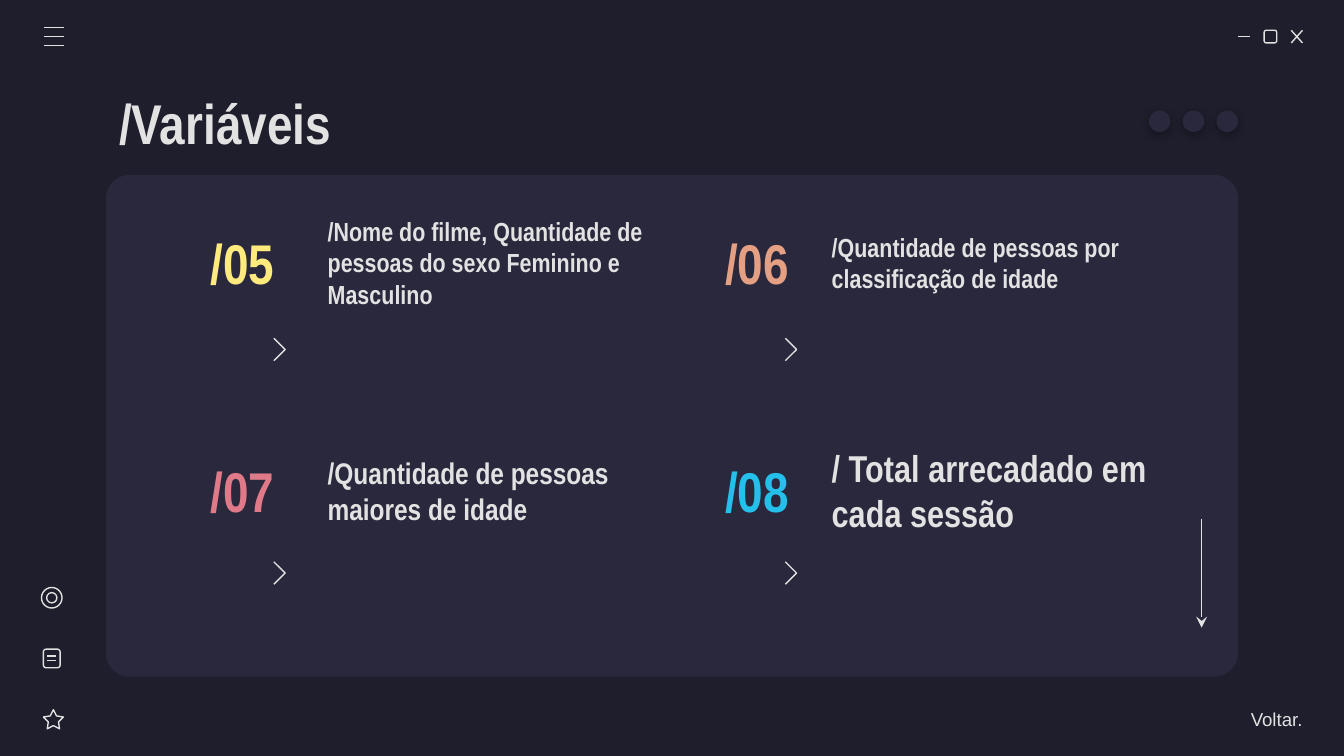
from pptx import Presentation
from pptx.dml.color import RGBColor
from pptx.enum.shapes import MSO_CONNECTOR, MSO_SHAPE
from pptx.enum.text import MSO_ANCHOR, PP_ALIGN
from pptx.oxml import parse_xml
from pptx.oxml.ns import nsdecls, qn
from pptx.util import Pt

LIGHT, PANEL, BACK = "E2E2E2", "29283D", "1E1E2C"
HEAD, BODY = "Arial Narrow", "Arial"
THIN = 0.75


def paint(color, code):
    color.rgb = RGBColor.from_string(code)


def add_text(slide, box, text, size, code=LIGHT, font=HEAD, align=PP_ALIGN.LEFT, right=7.2):
    frame = slide.shapes.add_textbox(*map(Pt, box)).text_frame
    frame.word_wrap = True
    frame.vertical_anchor = MSO_ANCHOR.MIDDLE
    frame.margin_left = frame.margin_top = frame.margin_bottom = Pt(7.2)
    frame.margin_right = Pt(right)
    para = frame.paragraphs[0]
    para.alignment = align
    run = para.add_run()
    run.text = text
    run.font.name, run.font.size = font, Pt(size)
    run.font.bold = font == HEAD
    paint(run.font.color, code)


def outline(shape):
    shape.line.width = Pt(THIN)
    shape.line.fill.solid()
    paint(shape.line.color, LIGHT)


def add_line(slide, x1, y1, x2, y2):
    line = slide.shapes.add_connector(MSO_CONNECTOR.STRAIGHT, *map(Pt, (x1, y1, x2, y2)))
    outline(line)
    line.element.spPr.append(parse_xml(f"<a:effectLst {nsdecls('a')}/>"))
    return line


def add_shape(slide, kind, box, fill=None):
    """Add a filled shape without a line, or an outlined one without a fill."""
    shape = slide.shapes.add_shape(kind, *map(Pt, box))
    shape.shadow.inherit = False
    if fill:
        shape.fill.solid()
        paint(shape.fill.fore_color, fill)
        shape.line.fill.background()
    else:
        shape.fill.background()
        outline(shape)
    return shape


def add_panel(slide, box):
    panel = add_shape(slide, MSO_SHAPE.ROUNDED_RECTANGLE, box, PANEL)
    panel.adjustments[0] = 0.047


def add_window(slide, box):
    """Draw the minimise, maximise and close marks."""
    left, top, width, height = box
    right, base = left + width, top + height
    add_line(slide, left, top + height / 2, left + height, top + height / 2)
    add_shape(slide, MSO_SHAPE.ROUNDED_RECTANGLE, (left + 14.25, top, height, height))
    add_line(slide, right - 6, top, right, base)
    add_line(slide, right, top, right - 6, base)


def add_menu(slide, box):
    left, top, width, height = box
    for i in range(3):
        y = top + i * height / 2
        add_line(slide, left, y, left + width, y)


def add_icons(slide, box):
    """Draw the ring, page and star down the left edge."""
    left, top, _, height = box
    base = top + height
    page = top + 33
    add_shape(slide, MSO_SHAPE.OVAL, (left, top, 11, 11))
    add_shape(slide, MSO_SHAPE.OVAL, (left + 2.75, top + 2.75, 5.5, 5.5))
    add_shape(slide, MSO_SHAPE.ROUNDED_RECTANGLE, (left + 1, page, 9, 10))
    for y in (page + 3.75, page + 6.25):
        add_line(slide, left + 2.75, y, left + 8, y)
    star = add_shape(slide, MSO_SHAPE.STAR_5_POINT, (left + 1, base - 10.25, 10.75, 10.25))
    star.adjustments[0] = 0.254


def add_chevron(slide, box):
    left, top, width, height = map(Pt, box)
    pen = slide.shapes.build_freeform(left, top)
    pen.add_line_segments([(left + width, top + height // 2), (left, top + height)], close=False)
    mark = pen.convert_to_shape()
    mark.shadow.inherit = False
    mark.fill.background()
    outline(mark)


def add_item(slide, box, item):
    left, top, width, height = box
    number, code, text, size, indent = item
    add_text(slide, (left, top, 65.5, height), number, 30, code, align=PP_ALIGN.CENTER)
    add_text(slide, (left + indent, top, width - indent, height), text, size)


def add_dots(slide, box):
    left, top, width, size = box
    step = (width - size) / 2
    for i in range(3):
        dot = add_shape(slide, MSO_SHAPE.OVAL, (left + i * step, top, size, size), PANEL)
        dot.element.spPr.find(qn("a:effectLst")).append(parse_xml(
            f'<a:outerShdw {nsdecls("a")} blurRad="{Pt(4.5)}" dist="{Pt(1.5)}" '
            'dir="5400000" algn="bl" rotWithShape="0"><a:srgbClr val="000000">'
            '<a:alpha val="30000"/></a:srgbClr></a:outerShdw>'))


def add_arrow(slide, box):
    left, top, _, height = box
    arrow = add_line(slide, left, top, left, top + height)
    arrow.line.fill.solid()
    arrow.element.spPr.find(qn("a:ln")).append(
        parse_xml(f'<a:tailEnd {nsdecls("a")} type="stealth"/>'))


def main():
    deck = Presentation()
    deck.slide_width, deck.slide_height = Pt(720), Pt(405)
    slide = deck.slides.add_slide(deck.slide_layouts[6])
    slide.background.fill.solid()
    paint(slide.background.fill.fore_color, BACK)

    add_panel(slide, (56.75, 93.75, 606.5, 268.75))
    add_window(slide, (663, 16.25, 34.75, 6.75))
    add_text(slide, (56.75, 42.75, 606.5, 45), "/Variáveis", 30)
    add_menu(slide, (23.5, 14.75, 10.75, 9.5))
    add_icons(slide, (22.25, 314.75, 12, 75.75))

    items = [
        ("/05", "FFEA7D", "/Nome do filme, Quantidade de pessoas do sexo Feminino e Masculino", 14, 71.25),
        ("/06", "E5A083", "/Quantidade de pessoas por classificação de idade", 14, 65.75),
        ("/07", "E07A88", "/Quantidade de pessoas maiores de idade", 16, 71.25),
        ("/08", "24BFEB", "/ Total arrecadado em cada sessão", 20, 65.75),
    ]
    for i, item in enumerate(items):
        row, col = divmod(i, 2)
        add_item(slide, (97.25 + col * 275.5, 120.5 + row * 122, item[4] + 184.25, 40.25), item)
        add_chevron(slide, (146.75 + col * 274, 181.25 + row * 119.75, 6, 12))

    add_arrow(slide, (643.75, 278, 0, 58.25))
    add_dots(slide, (615.5, 59.25, 47.75, 11.5))
    add_text(slide, (613.5, 374.5, 84.25, 21.5), "Voltar.", 10, font=BODY,
             align=PP_ALIGN.RIGHT, right=0)
    deck.save("out.pptx")


if __name__ == "__main__":
    main()
